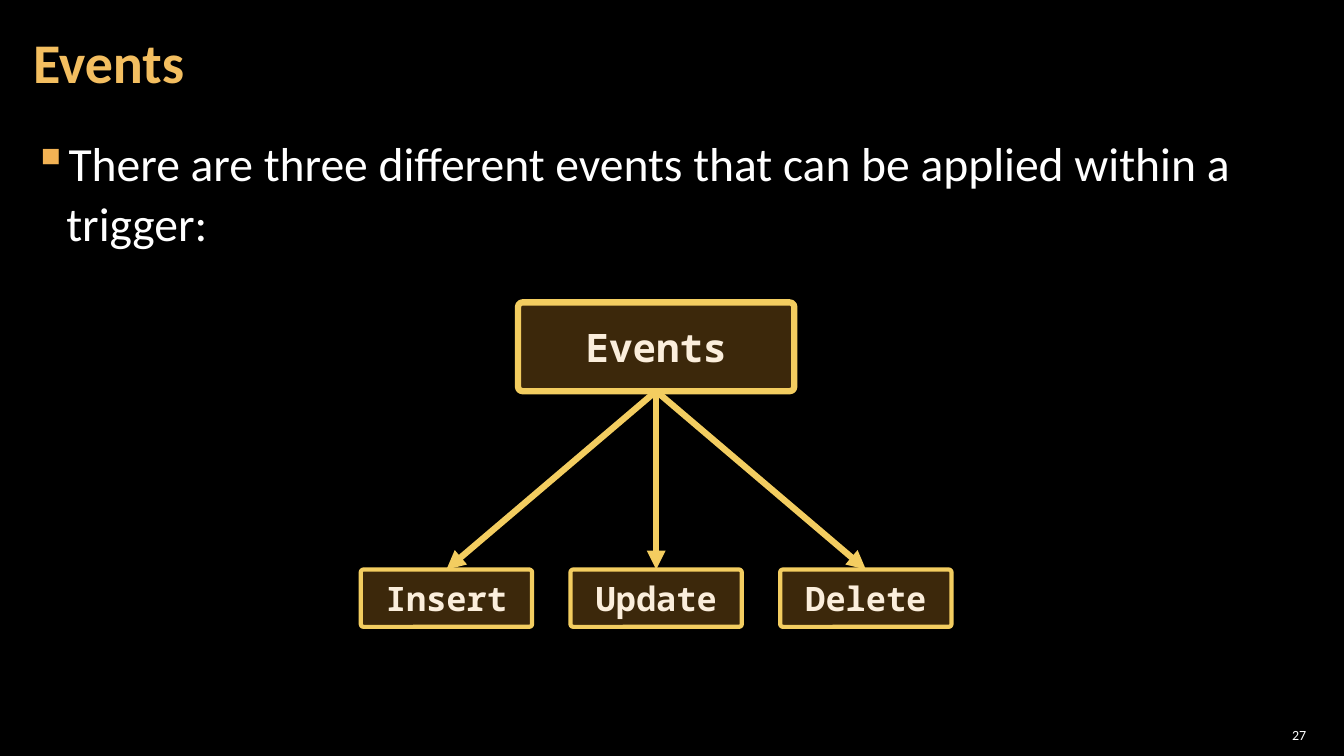
from lxml.etree import SubElement
from pptx import Presentation
from pptx.dml.color import RGBColor
from pptx.enum.shapes import MSO_CONNECTOR as Connector, MSO_SHAPE as Shape
from pptx.enum.text import MSO_ANCHOR as Anchor, PP_ALIGN as Align
from pptx.oxml.ns import qn
from pptx.util import Pt

TITLE = "Events"
STATEMENT = "There are three different events that can be applied within a trigger:"
PAGE_NUMBER = "27"
ROOT = "Events"
EVENTS = ["Insert", "Update", "Delete"]

BLACK = RGBColor(0x00, 0x00, 0x00)
WHITE = RGBColor(0xFF, 0xFF, 0xFF)
TITLE_GOLD = RGBColor(0xF3, 0xBE, 0x60)
ORANGE = RGBColor(0xF0, 0xA2, 0x2E)
LINE_GOLD = RGBColor(0xF3, 0xCD, 0x60)
CREAM = RGBColor(0xFB, 0xEE, 0xDC)
BULLET_COLOR = "F2B254"

TEXT_FONT, CODE_FONT = "Calibri", "Noto Sans Mono"
CENTER_X = 468.7
ROOT_TOP, ROOT_WIDTH, ROOT_HEIGHT = 216, 197.3, 63.4
EVENT_TOP, EVENT_WIDTH, EVENT_HEIGHT = 406.8, 122.4, 41
EVENT_PITCH = 149.8


def write(shape, text, size, color, font=TEXT_FONT, bold=False):
    shape.text_frame.text = text
    para = shape.text_frame.paragraphs[0]
    span = para.runs[0].font
    span.name, span.size, span.bold = font, Pt(size), bold
    span.color.rgb = color
    return para


def add_text(left, top, width, height, text, size, color, inset_x, bold=False,
             anchor=Anchor.MIDDLE):
    box = page.shapes.add_textbox(Pt(left), Pt(top), Pt(width), Pt(height))
    frame = box.text_frame
    frame.word_wrap = True
    frame.vertical_anchor = anchor
    frame.margin_left = frame.margin_right = Pt(inset_x)
    frame.margin_top = frame.margin_bottom = Pt(3)
    return write(box, text, size, color, bold=bold)


def add_bullet(para, indent):
    props = para._p.get_or_add_pPr()
    props.set("marL", str(Pt(indent)))
    props.set("indent", str(Pt(-indent)))
    SubElement(SubElement(props, qn("a:buClr")), qn("a:srgbClr"), val=BULLET_COLOR)
    SubElement(props, qn("a:buChar"), char="▪")


def add_node(center_x, top, width, height, text, size, line_width):
    node = page.shapes.add_shape(Shape.ROUNDED_RECTANGLE, Pt(center_x - width / 2),
                                 Pt(top), Pt(width), Pt(height))
    node.adjustments[0] = 0.05
    node.shadow.inherit = False
    node.fill.solid()
    node.fill.fore_color.rgb = ORANGE
    fill_color = node._element.spPr.find(qn("a:solidFill"))[0]
    SubElement(fill_color, qn("a:alpha"), val="25000")
    node.line.color.rgb = LINE_GOLD
    node.line.width = Pt(line_width)
    node.text_frame.vertical_anchor = Anchor.MIDDLE
    write(node, text, size, CREAM, CODE_FONT, True).alignment = Align.CENTER
    return node


def add_arrow(source, target):
    """Join the bottom of source to the top of target."""
    arrow = page.shapes.add_connector(Connector.STRAIGHT, 0, 0, 0, 0)
    arrow.begin_connect(source, 2)
    arrow.end_connect(target, 0)
    arrow.line.color.rgb = LINE_GOLD
    arrow.line.width = Pt(4.5)
    SubElement(arrow.line._get_or_add_ln(), qn("a:tailEnd"), type="triangle")
    SubElement(arrow._element.spPr, qn("a:effectLst"))


deck = Presentation()
deck.slide_width, deck.slide_height = Pt(960), Pt(540)
page = deck.slides.add_slide(deck.slide_layouts[6])
page.background.fill.solid()
page.background.fill.fore_color.rgb = BLACK

statement = add_text(15, 90.7, 929.5, 438.5, STATEMENT, 34, WHITE, 8.64,
                     anchor=Anchor.TOP)
statement.line_spacing = 1.05
statement.space_before = statement.space_after = Pt(6)
add_bullet(statement, 23.76)

title = add_text(15, 2.9, 753.8, 87.1, TITLE, 40, TITLE_GOLD, 8.64, bold=True)
title.line_spacing = 0.9

number = add_text(900, 516.2, 36, 18, PAGE_NUMBER, 10, WHITE, 3)
number.alignment = Align.RIGHT

root = add_node(CENTER_X, ROOT_TOP, ROOT_WIDTH, ROOT_HEIGHT, ROOT, 28, 4.5)
middle = (len(EVENTS) - 1) / 2
nodes = [add_node(CENTER_X + (i - middle) * EVENT_PITCH, EVENT_TOP, EVENT_WIDTH,
                  EVENT_HEIGHT, event, 24, 3) for i, event in enumerate(EVENTS)]
for node in nodes:
    add_arrow(root, node)

deck.save("out.pptx")
